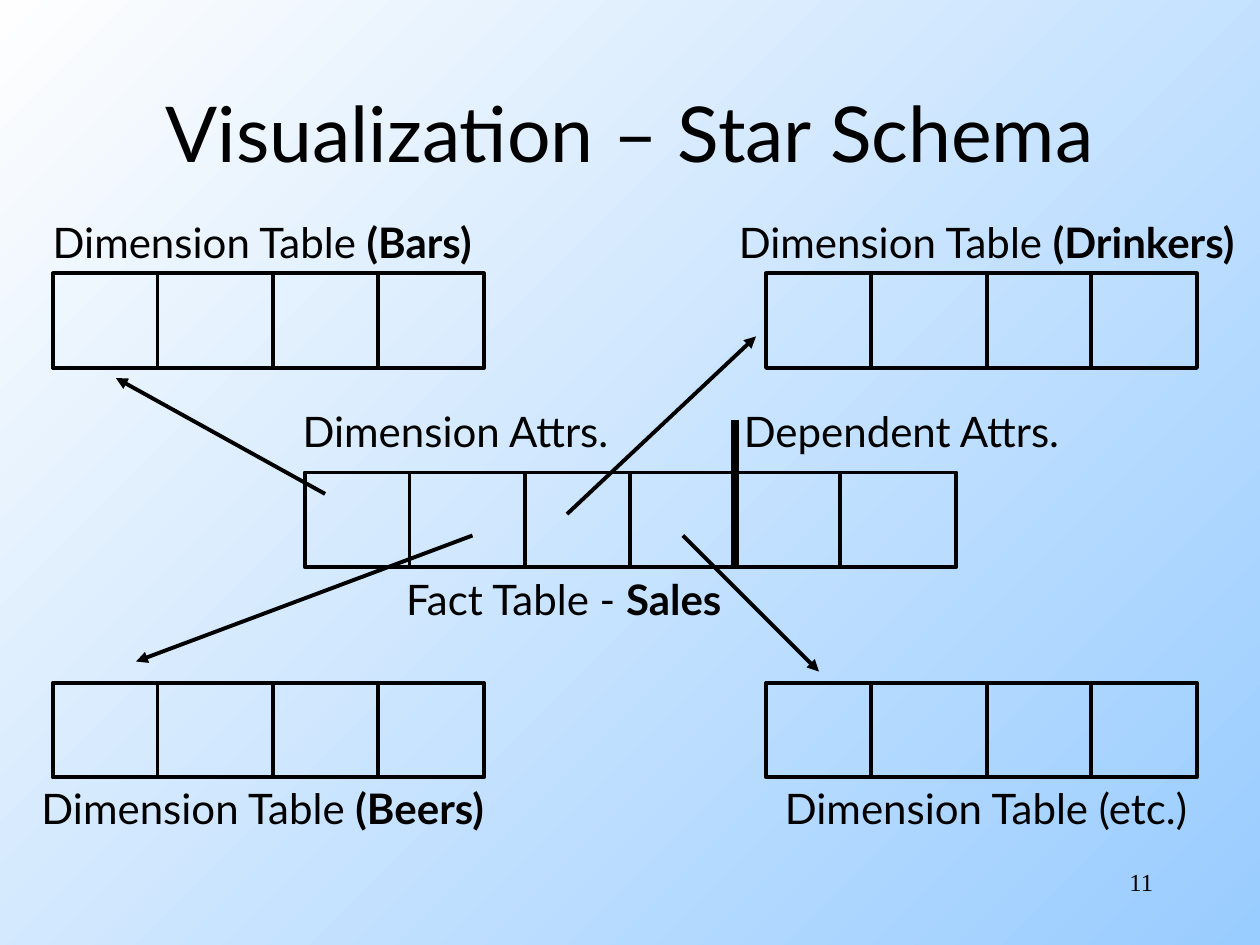
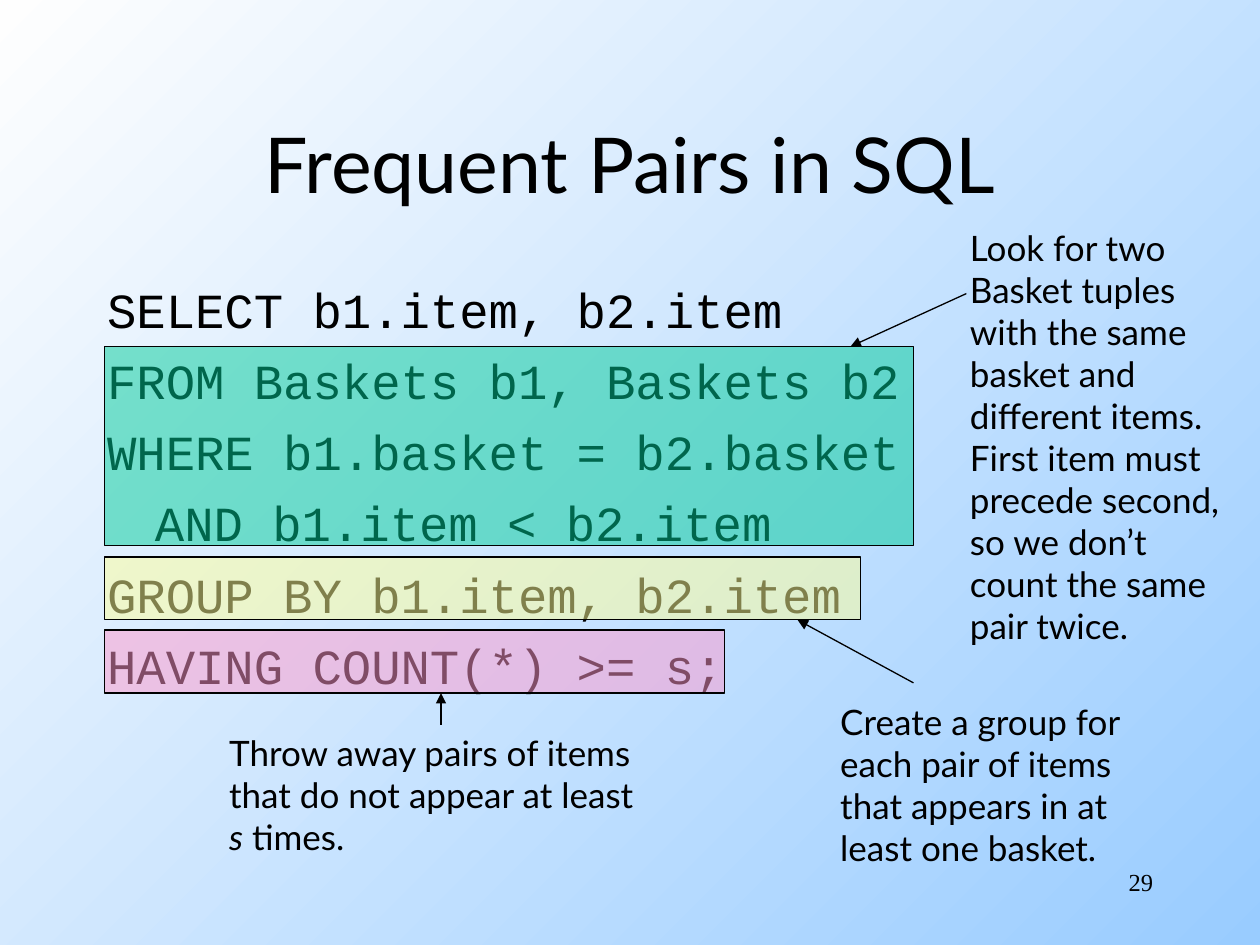
from lxml.etree import SubElement
from pptx import Presentation
from pptx.dml.color import RGBColor
from pptx.enum.shapes import MSO_CONNECTOR, MSO_SHAPE
from pptx.enum.text import MSO_ANCHOR, MSO_AUTO_SIZE, PP_ALIGN
from pptx.oxml.ns import qn
from pptx.util import Inches, Pt

INK = "000000"
FACE = "Lato"
hue = RGBColor.from_string


def write(frame, text, size=24, face=FACE, align=PP_ALIGN.LEFT, mark="bold", gap=0):
    """Fill a frame, one paragraph a line; text between bars gets the mark."""
    frame.word_wrap = True
    frame.auto_size = MSO_AUTO_SIZE.NONE
    for i, row in enumerate(text.split("\n")):
        para = frame.add_paragraph() if i else frame.paragraphs[0]
        para.alignment = align
        para.space_before = Pt(gap if i else 0)
        for j, part in enumerate(row.split("|")):
            if part:
                run = para.add_run()
                run.text = part
                run.font.size = Pt(size)
                run.font.name = face
                run.font.color.rgb = hue(INK)
                if j % 2:
                    setattr(run.font, mark, True)


def link(shapes, start, end, width=2.25, arrow=False):
    line = shapes.add_connector(MSO_CONNECTOR.STRAIGHT, *map(Inches, start + end))
    line.line.width = Pt(width)
    line.line.color.rgb = hue(INK)
    props = line._element.spPr
    if arrow:
        SubElement(props.find(qn("a:ln")), qn("a:tailEnd"), type="triangle")
    SubElement(props, qn("a:effectLst"))


deck = Presentation()
deck.slide_width, deck.slide_height = Inches(10), Inches(7.5)

# Shared background, titles and page numbers
back = deck.slide_master.background.fill
back.gradient()
back.gradient_angle = 135
for stop, tint in zip(back.gradient_stops, ("99CCFF", "FEFEFE")):
    stop.color.rgb = hue(tint)

slides = []
for layout, title, top, number in (
    (5, "Visualization – Star Schema", 0.42, "11"),
    (1, "Frequent Pairs in SQL", 0.67, "29"),
):
    slide = deck.slides.add_slide(deck.slide_layouts[layout])
    head = slide.shapes.title
    head.left, head.top, head.width, head.height = map(Inches, (0.75, top, 8.5, 1.25))
    head.text_frame.vertical_anchor = MSO_ANCHOR.MIDDLE
    write(head.text_frame, title, size=44, align=PP_ALIGN.CENTER)
    page = slide.shapes.add_textbox(*map(Inches, (7.17, 6.83, 2.08, 0.5)))
    write(page.text_frame, number, size=14, face="Times New Roman", align=PP_ALIGN.RIGHT)
    slides.append(slide)
star, query = slides

# Star schema: fact table in the middle, dimension tables in the corners
shapes = star.shapes
CUTS = (0.83, 1.75, 2.58)
TALL = 0.75
tables = [(2.42, 3.75, 5.17, CUTS + (4.25,))]
tables += [(x, y, 3.42, CUTS) for x in (0.42, 6.08) for y in (2.17, 5.42)]
for left, top, width, cuts in tables:
    table = shapes.add_shape(MSO_SHAPE.RECTANGLE, *map(Inches, (left, top, width, TALL)))
    table.shadow.inherit = False
    table.fill.background()
    table.line.color.rgb = hue(INK)
    table.line.width = Pt(2.25)
    for cut in cuts:
        link(shapes, (left + cut, top), (left + cut, top + TALL))

link(shapes, (5.83, 3.33), (5.83, 4.5), width=4.5)
for start, end in (
    ((2.58, 3.92), (0.92, 3)),
    ((3.75, 4.25), (1.08, 5.25)),
    ((4.5, 4.08), (6, 2.67)),
    ((5.42, 4.25), (6.5, 5.33)),
):
    link(shapes, start, end, arrow=True)

for left, top, width, text in (
    (0.05, 6.16, 4.07, "Dimension Table |(Beers)|"),
    (5.99, 6.16, 3.67, "Dimension Table (etc.)"),
    (5.54, 1.67, 4.58, "Dimension Table |(Drinkers)|"),
    (0.14, 1.67, 3.88, "Dimension Table |(Bars)|"),
    (3.02, 4.5, 2.91, "Fact Table - |Sales|"),
    (2.21, 3.17, 2.81, "Dimension Attrs."),
    (5.72, 3.17, 2.87, "Dependent Attrs."),
):
    label = shapes.add_textbox(*map(Inches, (left, top, width, 0.5)))
    write(label.text_frame, text, align=PP_ALIGN.CENTER)

# Frequent pairs: the query, then a tinted box, note and arrow for each clause
CODE = """SELECT b1.item, b2.item
FROM Baskets b1, Baskets b2
WHERE b1.basket = b2.basket
AND b1.item < b2.item
GROUP BY b1.item, b2.item
HAVING COUNT(*) >= s;"""
body = query.placeholders[1]
body.left, body.top, body.width, body.height = map(Inches, (0.75, 2.17, 8.5, 4.5))
write(body.text_frame, CODE, size=28, face="Courier New", gap=7)
for para in body.text_frame.paragraphs:
    props = para._p.get_or_add_pPr()
    props.set("marL", str(Inches(0.38)))
    props.set("indent", str(0 if para.text.startswith("AND") else -Inches(0.38)))
    SubElement(props, qn("a:buNone"))

PAIR = """Look for two
Basket tuples
with the same
basket and
different items.
First item must
precede second,
so we don’t
count the same
pair twice."""
GROUP = """Create a group for
each pair of items
that appears in at
least one basket."""
THROW = """Throw away pairs of items
that do not appear at least
|s| times."""
for tint, area, text, place, start, end in (
    ("00CC99", (0.83, 2.75, 6.42, 1.58), PAIR, (7.6, 1.75, 2.34, 3.44),
     (7.67, 2.33), (6.75, 2.75)),
    ("FFFF99", (0.83, 4.42, 6, 0.5), GROUP, (6.57, 5.51, 2.61, 1.44),
     (7.25, 5.42), (6.33, 4.92)),
    ("FF99CC", (0.83, 5, 4.92, 0.5), THROW, (1.72, 5.76, 3.67, 1.1),
     (3.5, 5.75), (3.5, 5.5)),
):
    shapes = query.shapes.add_group_shape().shapes
    box = shapes.add_shape(MSO_SHAPE.RECTANGLE, *map(Inches, area))
    box.shadow.inherit = False
    box.fill.solid()
    box.fill.fore_color.rgb = hue(tint)
    paint = box._element.spPr.find(qn("a:solidFill")).find(qn("a:srgbClr"))
    SubElement(paint, qn("a:alpha"), val="50000")
    box.line.color.rgb = hue(INK)
    box.line.width = Pt(0.75)
    note = shapes.add_textbox(*map(Inches, place))
    write(note.text_frame, text, size=20, mark="italic")
    link(shapes, start, end, width=0.75, arrow=True)

deck.save("out.pptx")
